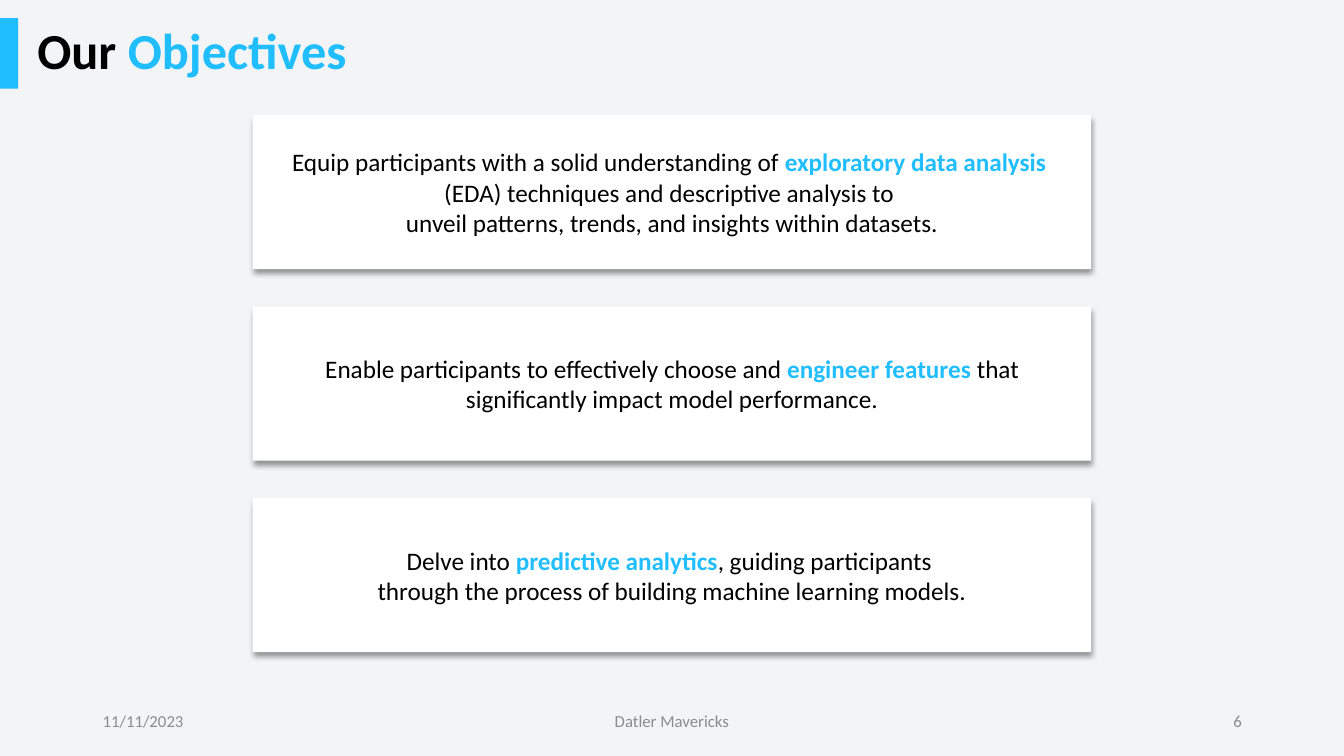
from lxml import etree
from pptx import Presentation
from pptx.dml.color import RGBColor
from pptx.enum.shapes import MSO_SHAPE
from pptx.enum.text import MSO_ANCHOR, MSO_AUTO_SIZE, PP_ALIGN
from pptx.oxml.ns import qn
from pptx.util import Pt

RECT = MSO_SHAPE.RECTANGLE
MIDDLE = MSO_ANCHOR.MIDDLE
NO_AUTOFIT = MSO_AUTO_SIZE.NONE
LEFT, CENTER, RIGHT = PP_ALIGN.LEFT, PP_ALIGN.CENTER, PP_ALIGN.RIGHT

BACKGROUND = RGBColor(0xF2, 0xF4, 0xF5)
ACCENT = RGBColor(0x20, 0xBE, 0xFF)
BLACK = RGBColor(0, 0, 0)
WHITE = RGBColor(0xFF, 0xFF, 0xFF)
GRAY = RGBColor(0x8C, 0x8C, 0x8C)
FONT = "Calibri"

SLIDE_W, SLIDE_H = 960, 540
HEAD_TOP, HEAD_H = 13, 50.4
CARD_W, CARD_H = 599, 110.2
CARD_TOP, CARD_PITCH = 82.1, 136.8
FOOT_TOP, FOOT_H = 500.4, 28.8

# Each card is a list of paragraphs; each paragraph a list of (text, highlighted).
OBJECTIVES = [
    [[("Equip participants with a solid understanding of ", False),
      ("exploratory data analysis ", True)],
     [("(EDA) techniques and descriptive analysis to ", False)],
     [("unveil patterns, trends, and insights within datasets.", False)]],
    [[("Enable participants to effectively choose and ", False),
      ("engineer features ", True),
      ("that significantly impact model performance.", False)]],
    [[("Delve into ", False), ("predictive analytics", True),
      (", guiding participants ", False)],
     [("through the process of building machine learning models.", False)]],
]

# Text, left, width, alignment
FOOTERS = [
    ("11/11/2023", 66.2, 216, LEFT),
    ("Datler Mavericks", 318, 324, CENTER),
    ("6", 678.2, 216, RIGHT),
]


def format_paragraph(p, size, align):
    """Set the font, size and alignment of a paragraph."""
    p.alignment = align
    p.font.name = FONT
    p.font.size = Pt(size)


def add_run(p, text, color, bold=False):
    """Append a coloured run to a paragraph."""
    r = p.add_run()
    r.text = text
    r.font.color.rgb = color
    r.font.bold = bold


def add_rect(slide, left, top, width, height, color):
    """Add a plain rectangle without line or shadow."""
    sp = slide.shapes.add_shape(RECT, Pt(left), Pt(top), Pt(width), Pt(height))
    sp.shadow.inherit = False
    sp.fill.solid()
    sp.fill.fore_color.rgb = color
    sp.line.fill.background()
    return sp


def add_shadow(sp):
    """Give a shape a soft shadow straight below it."""
    effects = sp._element.spPr.find(qn("a:effectLst"))
    shadow = etree.SubElement(
        effects, qn("a:outerShdw"), blurRad=str(Pt(4)), dist=str(Pt(3)),
        dir="5400000", algn="t", rotWithShape="0")
    color = etree.SubElement(shadow, qn("a:srgbClr"), val=str(BLACK))
    etree.SubElement(color, qn("a:alpha"), val="40000")


def add_title(slide):
    """Place the two-coloured title beside its accent bar."""
    sp = slide.shapes.title
    sp.left, sp.top = Pt(19.5), Pt(HEAD_TOP)
    sp.width, sp.height = Pt(341), Pt(HEAD_H)
    tf = sp.text_frame
    tf.auto_size = NO_AUTOFIT
    tf.word_wrap = True
    tf.vertical_anchor = MIDDLE
    p = tf.paragraphs[0]
    format_paragraph(p, 36, LEFT)
    p.line_spacing = 0.9
    add_run(p, "Our", BLACK, True)
    add_run(p, " Objectives", ACCENT, True)
    add_rect(slide, 0, HEAD_TOP, 13, HEAD_H, ACCENT)


def add_card(slide, top, paragraphs):
    """Add a white card holding one objective."""
    sp = add_rect(slide, (SLIDE_W - CARD_W) / 2, top, CARD_W, CARD_H, WHITE)
    add_shadow(sp)
    tf = sp.text_frame
    tf.word_wrap = True
    tf.vertical_anchor = MIDDLE
    for i, runs in enumerate(paragraphs):
        p = tf.add_paragraph() if i else tf.paragraphs[0]
        format_paragraph(p, 18, CENTER)
        for text, highlighted in runs:
            add_run(p, text, ACCENT if highlighted else BLACK, highlighted)


def add_footer(slide, text, left, width, align):
    """Add one grey footer text."""
    sp = slide.shapes.add_textbox(Pt(left), Pt(FOOT_TOP), Pt(width), Pt(FOOT_H))
    tf = sp.text_frame
    tf.word_wrap = True
    tf.vertical_anchor = MIDDLE
    p = tf.paragraphs[0]
    format_paragraph(p, 12, align)
    add_run(p, text, GRAY)


def main():
    """Build the objectives slide and save it."""
    prs = Presentation()
    prs.slide_width, prs.slide_height = Pt(SLIDE_W), Pt(SLIDE_H)
    slide = prs.slides.add_slide(prs.slide_layouts.get_by_name("Title Only"))
    slide.background.fill.solid()
    slide.background.fill.fore_color.rgb = BACKGROUND

    add_title(slide)
    for footer in FOOTERS:
        add_footer(slide, *footer)
    for i, paragraphs in enumerate(OBJECTIVES):
        add_card(slide, CARD_TOP + i * CARD_PITCH, paragraphs)

    prs.save("out.pptx")


main()
